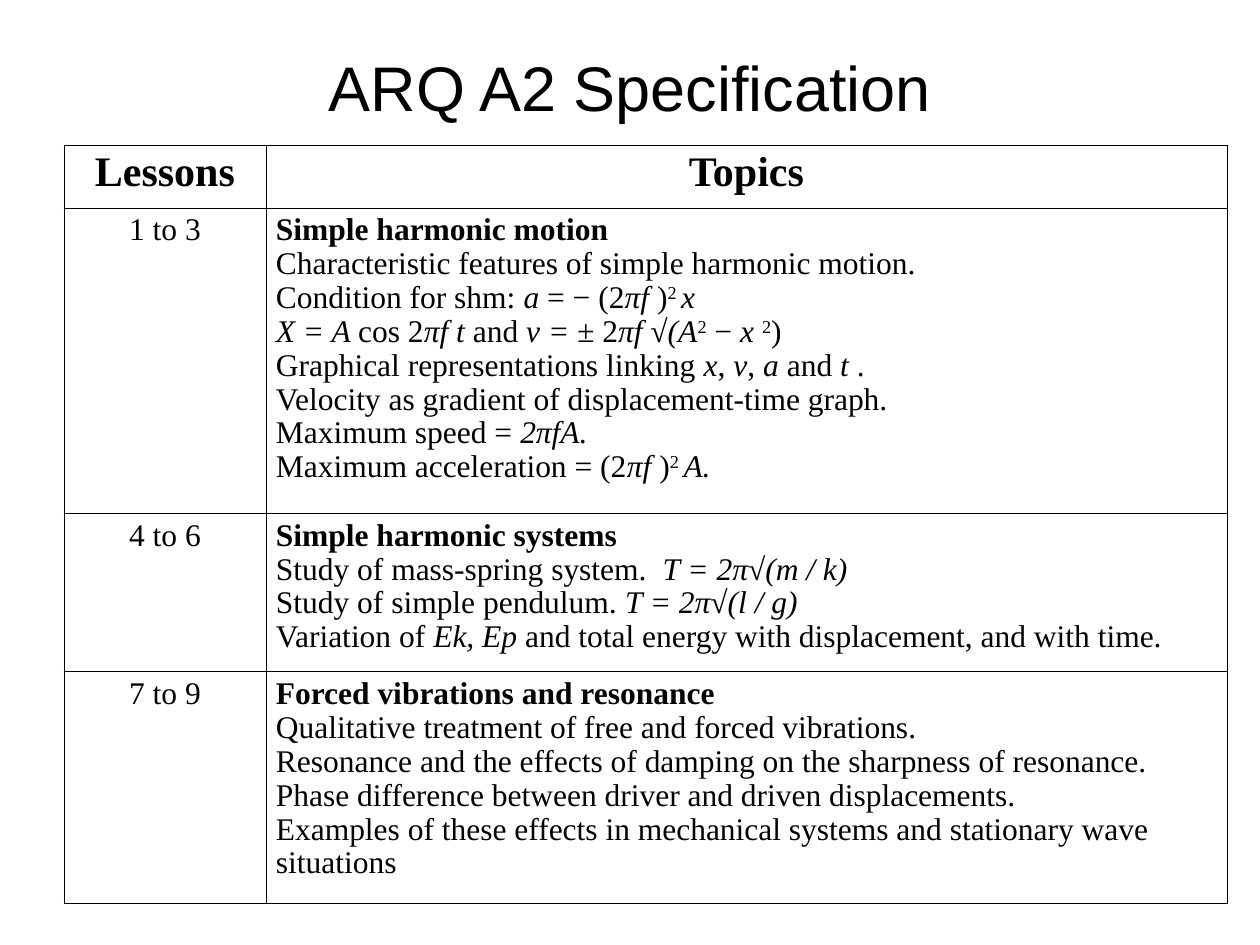
from lxml import etree
from pptx import Presentation
from pptx.dml.color import RGBColor
from pptx.enum.text import MSO_ANCHOR, PP_ALIGN
from pptx.oxml.ns import qn
from pptx.util import Pt

PX = 914400 // 126
CENTER, LEFT = PP_ALIGN.CENTER, PP_ALIGN.LEFT
TOP, MIDDLE = MSO_ANCHOR.TOP, MSO_ANCHOR.MIDDLE
COLORS = {"ink": "000000", "paper": "FFFFFF"}
SANS, SERIF = "Arial", "Times New Roman"

HEADINGS = ("Lessons", "Topics")
# *...* marks italics, ^...^ marks superscript
LESSONS = [
    ("1 to 3", [
        "Simple harmonic motion",
        "Characteristic features of simple harmonic motion.",
        "Condition for shm: *a *= − (2*πf *)^2 ^*x*",
        "*X = A *cos 2*πf t *and *v = ± *2*πf √(A*^2^ − *x *^2^)",
        "Graphical representations linking *x*, *v*, *a *and *t *.",
        "Velocity as gradient of displacement-time graph.",
        "Maximum speed = *2πfA.*",
        "Maximum acceleration = (2*πf* )^2 ^*A.*",
    ]),
    ("4 to 6", [
        "Simple harmonic systems",
        "Study of mass-spring system.  *T = 2π√(m / k)*",
        "Study of simple pendulum. *T = 2π√(l / g)*",
        "Variation of *Ek, Ep* and total energy with displacement, and with time.",
    ]),
    ("7 to 9", [
        "Forced vibrations and resonance",
        "Qualitative treatment of free and forced vibrations.",
        "Resonance and the effects of damping on the sharpness of resonance.",
        "Phase difference between driver and driven displacements.",
        "Examples of these effects in mechanical systems and stationary wave situations",
    ]),
]
COLUMN_WIDTHS = (202, 961)
ROW_HEIGHTS = (63, 302, 153, 226)


def color(name):
    return RGBColor.from_string(COLORS[name])


def add_marked_text(p, text, font, size, bold=False):
    """Turn *italic* and ^superscript^ marks into formatted runs."""
    for i, part in enumerate(text.split("*")):
        for j, piece in enumerate(part.split("^")):
            if not piece:
                continue
            r = p.add_run()
            r.text = piece
            r.font.name, r.font.size = font, Pt(size)
            r.font.bold, r.font.italic = bold, i % 2 == 1
            r.font.color.rgb = color("ink")
            if j % 2:
                r.font._element.set("baseline", "30000")


def set_borders(cell):
    tc_pr = cell._tc.get_or_add_tcPr()
    for i, side in enumerate(("lnL", "lnR", "lnT", "lnB")):
        ln = etree.Element(qn(f"a:{side}"), w=str(Pt(0.45)))
        fill = etree.SubElement(ln, qn("a:solidFill"))
        etree.SubElement(fill, qn("a:srgbClr"), val=COLORS["ink"])
        tc_pr.insert(i, ln)


def fill_cell(cell, lines, size, align, bold_first=False, inset=10):
    cell.fill.solid()
    cell.fill.fore_color.rgb = color("paper")
    set_borders(cell)
    cell.vertical_anchor = TOP
    cell.margin_left = cell.margin_right = inset * PX
    cell.margin_top = cell.margin_bottom = 6 * PX
    tf = cell.text_frame
    for i, line in enumerate(lines):
        p = tf.add_paragraph() if i else tf.paragraphs[0]
        p.alignment, p.line_spacing = align, 0.97
        add_marked_text(p, line, SERIF, size, bold_first and i == 0)


def add_title(s, text, x, y, w, h):
    tf = s.shapes.add_textbox(x * PX, y * PX, w * PX, h * PX).text_frame
    tf.word_wrap, tf.vertical_anchor = True, MIDDLE
    p = tf.paragraphs[0]
    p.alignment = CENTER
    add_marked_text(p, text, SANS, 36)


def add_lesson_table(s, x, y):
    frame = s.shapes.add_table(
        len(ROW_HEIGHTS), len(COLUMN_WIDTHS), x * PX, y * PX,
        sum(COLUMN_WIDTHS) * PX, sum(ROW_HEIGHTS) * PX)
    table = frame.table
    table.first_row = table.horz_banding = False
    for column, width in zip(table.columns, COLUMN_WIDTHS):
        column.width = width * PX
    for row, height in zip(table.rows, ROW_HEIGHTS):
        row.height = height * PX
    for i, heading in enumerate(HEADINGS):
        fill_cell(table.cell(0, i), [heading], 24, CENTER, True, inset=13)
    for i, (lessons, topics) in enumerate(LESSONS, 1):
        fill_cell(table.cell(i, 0), [lessons], 18, CENTER)
        fill_cell(table.cell(i, 1), topics, 18, LEFT, True)


def main():
    prs = Presentation()
    prs.slide_width, prs.slide_height = 1260 * PX, 945 * PX
    s = prs.slides.add_slide(prs.slide_layouts[6])
    add_title(s, "ARQ A2 Specification", 63, 38, 1134, 97)
    add_lesson_table(s, 64, 145)
    prs.save("out.pptx")


if __name__ == "__main__":
    main()
